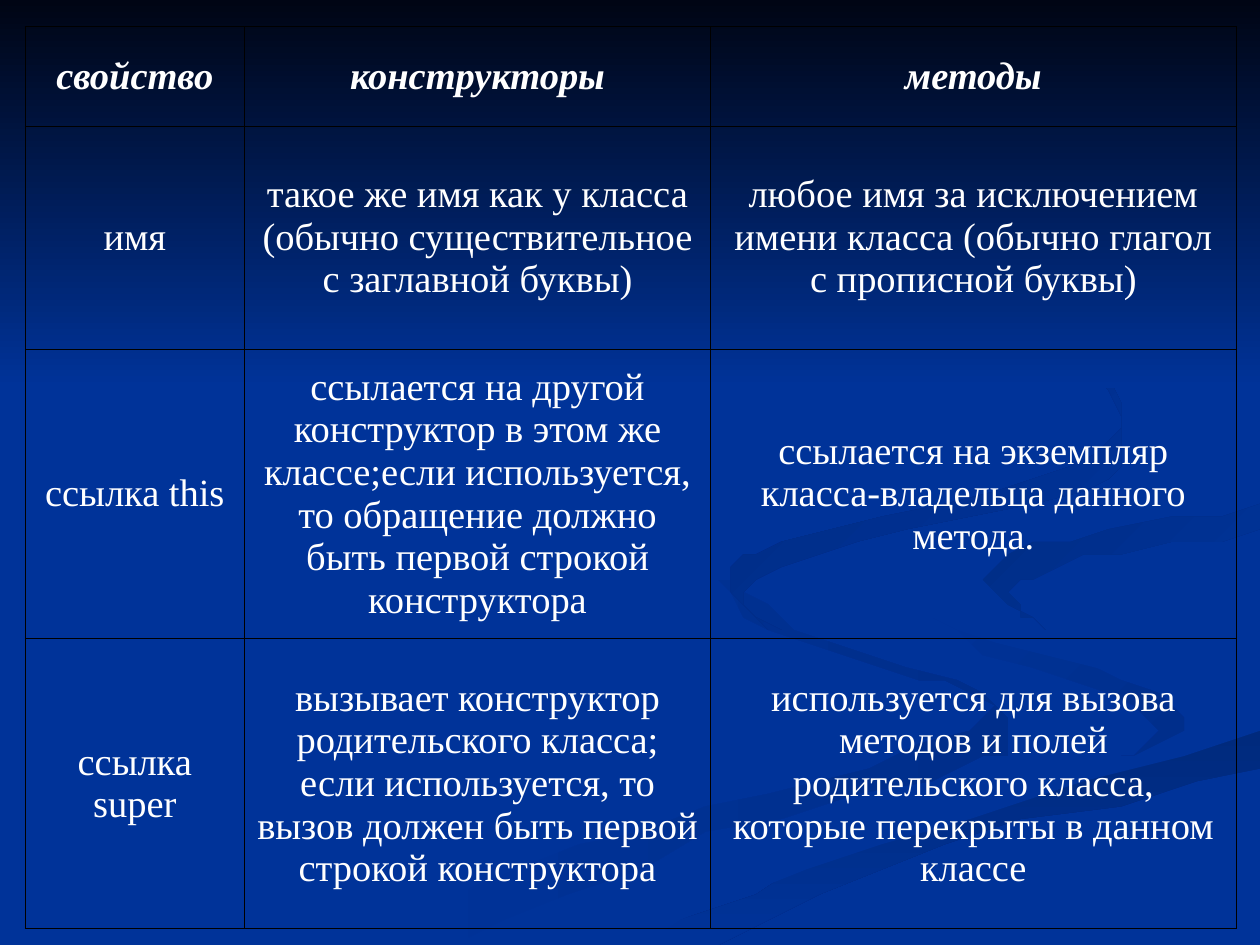
from dataclasses import dataclass

from lxml.etree import SubElement
from pptx import Presentation
from pptx.dml.color import RGBColor
from pptx.enum.shapes import MSO_SHAPE
from pptx.enum.text import MSO_ANCHOR, PP_ALIGN
from pptx.oxml.ns import qn
from pptx.util import Inches, Pt

COLORS = {
    "blue": "003399",
    "night": "000514",
    "shade_left": "002E8B",
    "shade_tail": "002A7D",
    "shade_loop": "002D86",
    "shade_top": "002B82",
    "text": "FFFFFF",
    "border": "000000",
}
FONT = "Times New Roman"
UNIT = Inches(0.1)  # the slide is a grid of 100 columns by 75 rows
COLUMNS, ROWS = 100, 75
SKY_ROWS = 30.8
CURVE_STEPS = 4


@dataclass
class Ribbon:
    """A closed curve through grid points, shaded from start to end colour."""
    points: list[tuple[float, float]]
    start: str
    end: str
    angle: int = 0  # clockwise


RIBBONS = [
    # Left swirl
    Ribbon([(78, 55.3), (66, 51.3), (57.5, 46), (61, 50), (73, 53.5), (78.5, 57),
            (65, 62), (46, 67), (30, 74.9), (36, 74.9), (56, 66.5), (78, 60.5), (80, 58)],
           "blue", "shade_left"),
    # Right swirl
    Ribbon([(94.3, 57), (87, 53), (75, 49), (72.4, 46.4), (75.5, 50.5), (88, 54.9),
            (91.7, 58), (89.4, 60.5)], "blue", "shade_left", 45),
    # Tail sweeping to the right edge
    Ribbon([(50.3, 74.9), (57, 74.9), (75, 67.2), (99.8, 60.9), (99.8, 58.1),
            (76, 64.7), (60, 70.6)], "shade_tail", "blue", 90),
    # Plain band between the swirls
    Ribbon([(72.5, 46.4), (76, 49.8), (90.5, 54), (94.3, 57), (87, 61.1), (66, 66.8),
            (47.7, 74.9), (51, 74.9), (70, 66.9), (99.9, 58.1), (99.9, 53.8),
            (82, 49.2), (78.1, 46.3), (82, 43.4), (99.9, 40.2), (99.9, 38.7),
            (79, 42.2)], "blue", "blue"),
    # Small loop at the right edge
    Ribbon([(78.1, 46), (82.6, 49.6), (80.5, 47.2), (86, 44.3), (99.8, 42),
            (99.8, 40.2), (85, 42.7)], "shade_loop", "blue", 45),
    # Upper curl
    Ribbon([(68, 43), (85.5, 39.1), (89.4, 34.4), (86.4, 29.1), (76.2, 23.3),
            (87, 29.9), (88.2, 35.4), (79, 39.2), (62, 42.7), (57.7, 46.2),
            (62.2, 50), (59.3, 47)], "shade_top", "blue", 45),
]

TABLE_LEFT, TABLE_TOP = 2, 2.1
TABLE_COLUMNS = [17.4, 37, 41.7]
TABLE_ROWS = [7.9, 17.7, 23, 23]
CONTENT = [
    ["свойство", "конструкторы", "методы"],
    ["имя",
     "такое же имя как у класса (обычно существительное с заглавной буквы)",
     "любое имя за исключением имени класса (обычно глагол с прописной буквы)"],
    ["ссылка this",
     "ссылается на другой конструктор в этом же классе;если используется, "
     "то обращение должно быть первой строкой конструктора",
     "ссылается на экземпляр класса-владельца данного метода."],
    ["ссылка super",
     "вызывает конструктор родительского класса; если используется, "
     "то вызов должен быть первой строкой конструктора",
     "используется для вызова методов и полей родительского класса, "
     "которые перекрыты в данном классе"],
]


def color(name: str) -> RGBColor:
    return RGBColor.from_string(COLORS[name])


def grid(length: float) -> int:
    return round(length * UNIT)


def smooth_outline(points: list[tuple[float, float]]) -> list[tuple[float, float]]:
    """Closed Catmull-Rom curve through the points, kept inside the slide."""
    outline = []
    for index, current in enumerate(points):
        before = points[index - 1]
        after, beyond = (points[(index + step) % len(points)] for step in (1, 2))
        for step in range(CURVE_STEPS):
            t = step / CURVE_STEPS
            x, y = (
                b + t * (c - a) / 2 + t ** 2 * (2 * a - 5 * b + 4 * c - d) / 2
                + t ** 3 * (3 * b - a - 3 * c + d) / 2
                for a, b, c, d in zip(before, current, after, beyond))
            outline.append((min(x, COLUMNS), min(y, ROWS)))
    return outline


def shade(shape, start: str, end: str, angle: int) -> None:
    shape.shadow.inherit = False
    shape.line.fill.background()
    shape.fill.gradient()
    shape.fill.gradient_angle = -angle % 360
    for stop, name in zip(shape.fill.gradient_stops, (start, end)):
        stop.color.rgb = color(name)


def draw_ribbon(slide, ribbon: Ribbon) -> None:
    first, *others = smooth_outline(ribbon.points)
    builder = slide.shapes.build_freeform(*first, scale=UNIT)
    builder.add_line_segments(others, close=True)
    shade(builder.convert_to_shape(), ribbon.start, ribbon.end, ribbon.angle)


def add_borders(cell) -> None:
    properties = cell._tc.get_or_add_tcPr()
    for index, side in enumerate(("lnL", "lnR", "lnT", "lnB")):
        line = SubElement(properties, qn(f"a:{side}"), w=str(Pt(0.45)))
        fill = SubElement(line, qn("a:solidFill"))
        SubElement(fill, qn("a:srgbClr"), val=COLORS["border"])
        properties.insert(index, line)


def write_cell(cell, text: str, heading: bool) -> None:
    cell.fill.background()
    add_borders(cell)
    cell.vertical_anchor = MSO_ANCHOR.MIDDLE
    paragraph = cell.text_frame.paragraphs[0]
    paragraph.alignment = PP_ALIGN.CENTER
    run = paragraph.add_run()
    run.text = text
    run.font.name = FONT
    run.font.size = Pt(22)
    run.font.bold = run.font.italic = heading
    run.font.color.rgb = color("text")


def draw_table(slide) -> None:
    table = slide.shapes.add_table(
        len(TABLE_ROWS), len(TABLE_COLUMNS), grid(TABLE_LEFT), grid(TABLE_TOP),
        grid(sum(TABLE_COLUMNS)), grid(sum(TABLE_ROWS))).table
    table.first_row = table.horz_banding = False
    for column, width in zip(table.columns, TABLE_COLUMNS):
        column.width = grid(width)
    for row, height in zip(table.rows, TABLE_ROWS):
        row.height = grid(height)
    for row_index, texts in enumerate(CONTENT):
        for column_index, text in enumerate(texts):
            write_cell(table.cell(row_index, column_index), text, heading=row_index == 0)


def main() -> None:
    presentation = Presentation()
    presentation.slide_width = grid(COLUMNS)
    presentation.slide_height = grid(ROWS)
    slide = presentation.slides.add_slide(presentation.slide_layouts[6])

    # Background with ribbons and a night sky fading down
    slide.background.fill.solid()
    slide.background.fill.fore_color.rgb = color("blue")
    for ribbon in RIBBONS:
        draw_ribbon(slide, ribbon)
    sky = slide.shapes.add_shape(MSO_SHAPE.RECTANGLE, 0, 0, grid(COLUMNS), grid(SKY_ROWS))
    shade(sky, "night", "blue", 90)

    # Comparison of constructors and methods
    draw_table(slide)
    presentation.save("out.pptx")


if __name__ == "__main__":
    main()
